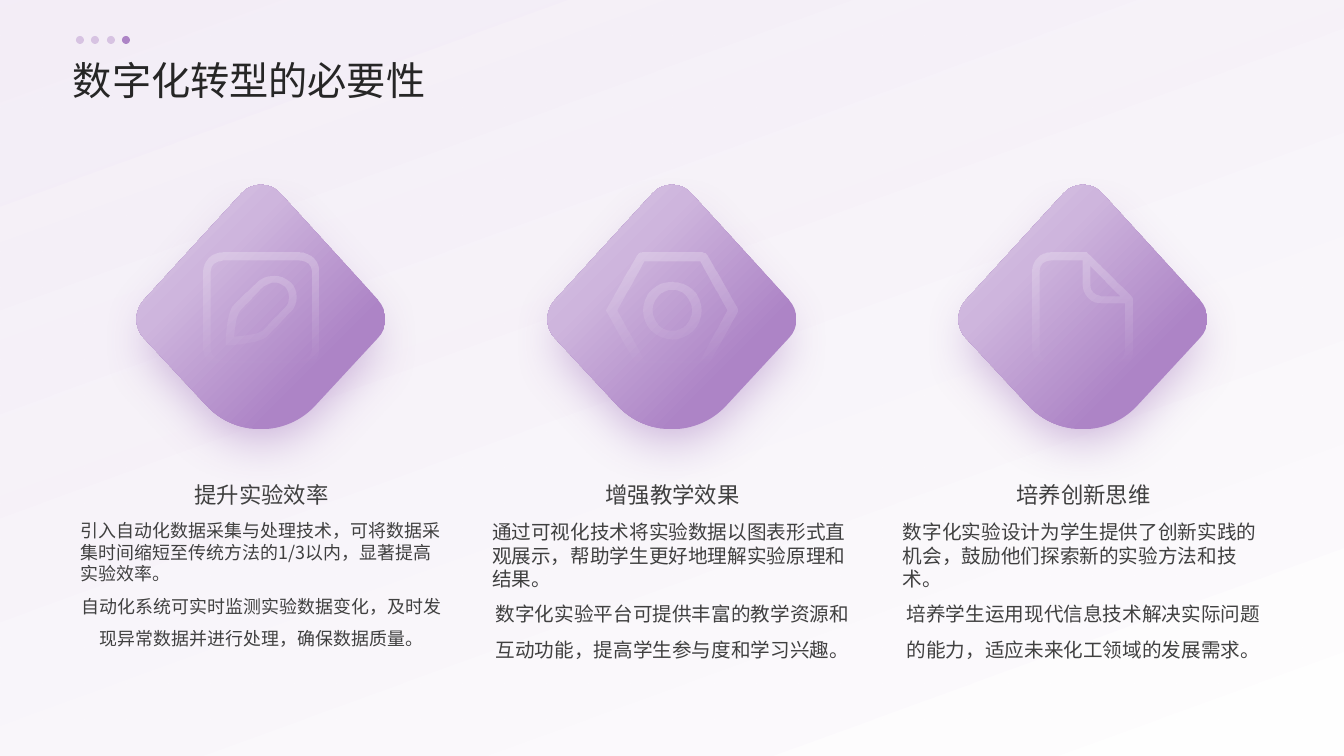
from lxml import etree
from pptx import Presentation
from pptx.dml.color import RGBColor
from pptx.enum.shapes import MSO_SHAPE
from pptx.enum.text import MSO_ANCHOR, PP_ALIGN
from pptx.oxml import parse_xml
from pptx.oxml.ns import nsdecls, qn
from pptx.util import Emu, Pt

PX = 914400 / 100.8
FONT = "Noto Sans CJK SC"
PURPLE = "AD84C6"
GREY = "404040"

# Outlines: x from the column centre, y from the slide top, in px
DIAMOND = """M -117 300 C -19 193 -19 193 -19 193 C -9 182 9 182 19 193
C 117 300 117 300 117 300 C 127 311 127 328 117 338 C 54 406 54 406 54 406
C 25 437 -25 437 -54 406 C -117 338 -117 338 -117 338
C -127 328 -127 311 -117 300 Z"""
PENCIL = """M 13 283 C 9 283 5 285 2 287 L -20 310 C -24 313 -26 326 -27 337
C -14 336 -2 334 1 331 L 23 308 C 29 302 29 293 23 287 C 20 285 17 283 13 283 Z
M 13 276 C 18 276 24 278 28 282 C 37 290 37 305 28 313 L 6 336
C -3 345 -35 345 -35 345 C -35 345 -35 313 -26 304 L -3 282
C 1 278 7 276 13 276 Z
M -38 261 C -45 261 -50 266 -50 272 L -50 349 C -50 355 -45 360 -38 360
L 38 360 C 45 360 50 355 50 349 L 50 272 C 50 266 45 261 38 261 Z
M -38 253 L 38 253 C 49 253 57 262 57 272 L 57 349 C 57 359 49 368 38 368
L -38 368 C -49 368 -57 359 -57 349 L -57 272 C -57 262 -49 253 -38 253 Z"""
NUT = """M 0 290 C -11 290 -20 299 -20 310 C -20 321 -11 330 0 330
C 11 330 20 321 20 310 C 20 299 11 290 0 290 Z
M 0 282 C 16 282 29 294 29 310 C 29 326 16 339 0 339
C -16 339 -29 326 -29 310 C -29 294 -16 282 0 282 Z
M -28 262 L -55 310 L -28 359 L 28 359 L 55 310 L 28 262 Z
M -30 253 L 30 253 C 32 253 34 254 35 256 L 65 308 C 66 309 66 311 65 312
L 35 365 C 34 366 32 367 30 367 L -30 367 C -32 367 -34 366 -35 365
L -65 312 C -66 311 -66 309 -65 308 L -35 256 C -34 254 -32 253 -30 253 Z"""
DOCUMENT = """M 50 299 L 49 297 L 6 255 L 4 253 L -32 253 C -42 253 -50 261 -50 271
L -50 349 C -50 359 -42 367 -32 367 L 32 367 C 42 367 50 359 50 349 Z
M 7 285 L 7 266 L 37 296 L 18 296 C 12 296 7 291 7 285 Z
M 42 349 C 42 355 37 360 32 360 L -32 360 C -38 360 -43 355 -43 349
L -43 271 C -43 266 -38 261 -32 261 L 0 261 L 0 285 C 0 295 8 303 18 303
L 42 303 Z"""

COLUMNS = [
    (PENCIL, "提升实验效率", 12.8,
     "引入自动化数据采集与处理技术，可将数据采集时间缩短至传统方法的1/3以内，显著提高实验效率。",
     "自动化系统可实时监测实验数据变化，及时发现异常数据并进行处理，确保数据质量。"),
    (NUT, "增强教学效果", 14,
     "通过可视化技术将实验数据以图表形式直观展示，帮助学生更好地理解实验原理和结果。",
     "数字化实验平台可提供丰富的教学资源和互动功能，提高学生参与度和学习兴趣。"),
    (DOCUMENT, "培养创新思维", 14,
     "数字化实验设计为学生提供了创新实践的机会，鼓励他们探索新的实验方法和技术。",
     "培养学生运用现代信息技术解决实际问题的能力，适应未来化工领域的发展需求。"),
]


def px(n):
    return Emu(round(n * PX))


def rgb(color):
    return RGBColor.from_string(color)


def apply(target, formats):
    for name, value in formats.items():
        setattr(target, name, value)


def plain(sp):
    sp.shadow.inherit = False
    sp.line.fill.background()
    return sp


def gradient(sp, stops, direction):
    """Fill with (position, colour, opacity) stops in percent."""
    gs = "".join(
        f'<a:gs pos="{pos * 1000}"><a:srgbClr val="{color}">'
        f'<a:alpha val="{alpha * 1000}"/></a:srgbClr></a:gs>'
        for pos, color, alpha in stops)
    sp.fill.background()
    pr = sp._element.spPr
    pr.replace(pr.find(qn("a:noFill")), parse_xml(
        f'<a:gradFill {nsdecls("a")} rotWithShape="1"><a:gsLst>{gs}</a:gsLst>'
        f'{direction}</a:gradFill>'))


def linear(angle):
    return f'<a:lin ang="{angle * 60000}" scaled="0"/>'


def drop_shadow(sp, color, alpha, blur, dist, size):
    sp._element.spPr.find(qn("a:effectLst")).append(parse_xml(
        f'<a:outerShdw {nsdecls("a")} blurRad="{Pt(blur)}" dist="{Pt(dist)}" '
        f'dir="5400000" sx="{size * 1000}" sy="{size * 1000}" algn="t" '
        f'rotWithShape="0"><a:srgbClr val="{color}">'
        f'<a:alpha val="{alpha * 1000}"/></a:srgbClr></a:outerShdw>'))


def commands(outline):
    """List (letter, points) for each M, L, C and Z."""
    result = []
    tokens = iter(outline.split())
    for cmd in tokens:
        count = {"M": 1, "L": 1, "C": 3, "Z": 0}[cmd]
        result.append((cmd, [(int(next(tokens)), int(next(tokens)))
                             for _ in range(count)]))
    return result


def outline_shape(s, outline, center):
    """Draw the outline through all its points, then bend the C parts."""
    steps = commands(outline)
    builder = s.shapes.build_freeform(*steps[0][1][0], scale=PX)
    for i, (cmd, pts) in enumerate(steps):
        if cmd == "M" and i:
            builder.move_to(*pts[0])
        elif cmd in "LC":
            builder.add_line_segments(pts, close=steps[i + 1][0] == "Z")
    sp = plain(builder.convert_to_shape(px(center), 0))
    segments = iter(list(sp._element.spPr.find(".//" + qn("a:path"))))
    for cmd, _ in steps:
        segment = next(segments)
        if cmd == "C":
            curve = etree.Element(qn("a:cubicBezTo"))
            segment.addprevious(curve)
            for part in (segment, next(segments), next(segments)):
                curve.append(part[0])
                part.getparent().remove(part)
    return sp


def text(s, box, paras, size, color=GREY, anchor=MSO_ANCHOR.TOP):
    """Add a text box; paras holds (text, alignment, line spacing)."""
    tf = s.shapes.add_textbox(*map(px, box)).text_frame
    apply(tf, dict(word_wrap=True, vertical_anchor=anchor, margin_left=0,
                   margin_top=0, margin_right=0, margin_bottom=0))
    for i, (words, align, spacing) in enumerate(paras):
        p = tf.add_paragraph() if i else tf.paragraphs[0]
        apply(p, dict(alignment=align, line_spacing=spacing))
        p._p.get_or_add_pPr().set("hangingPunct", "0")
        r = p.add_run()
        r.text = words
        apply(r.font, dict(size=Pt(size), name=FONT))
        r.font.color.rgb = rgb(color)
        etree.SubElement(r._r.get_or_add_rPr(), qn("a:ea"), typeface=FONT)


def dot(s, x, alpha):
    sp = plain(s.shapes.add_shape(MSO_SHAPE.OVAL, px(x), px(36), px(8), px(8)))
    sp.fill.solid()
    sp.fill.fore_color.rgb = rgb(PURPLE)
    clr = sp._element.spPr.find(".//" + qn("a:srgbClr"))
    etree.SubElement(clr, qn("a:alpha"), val=str(alpha * 1000))


def column(s, center, icon, heading, size, intro, detail):
    sp = outline_shape(s, DIAMOND, center)
    gradient(sp, [(0, "DECEE8", 100), (31, "CEB5DD", 100), (73, PURPLE, 100)],
             '<a:path path="circle"><a:fillToRect r="100000" b="100000"/></a:path>')
    drop_shadow(sp, "874EA9", 40, 35, 25, 90)
    gradient(outline_shape(s, icon, center),
             [(0, "FFFFFF", 25), (100, "FFFFFF", 0)], linear(90))
    left = center - 180
    text(s, (left, 435, 361, 73), [(heading, PP_ALIGN.CENTER, 1.1)], 16,
         anchor=MSO_ANCHOR.BOTTOM)
    text(s, (left, 520, 361, 162),
         [(intro, PP_ALIGN.LEFT, 1.0), (detail, PP_ALIGN.CENTER, 1.5)], size)


def main():
    prs = Presentation()
    apply(prs, dict(slide_width=px(1344), slide_height=px(756)))
    s = prs.slides.add_slide(prs.slide_layouts[6])
    backdrop = plain(s.shapes.add_shape(
        MSO_SHAPE.RECTANGLE, 0, 0, prs.slide_width, prs.slide_height))
    gradient(backdrop, [(0, "EFE6F4", 67), (100, "FFFFFF", 92)], linear(70))
    for i, content in enumerate(COLUMNS):
        column(s, 261 + 411 * i, *content)
    text(s, (73, 52, 1198, 51), [("数字化转型的必要性", PP_ALIGN.LEFT, 1.1)], 28,
         "262626", MSO_ANCHOR.MIDDLE)
    for i, alpha in enumerate((40, 40, 40, 100)):
        dot(s, 76 + round(15.4 * i), alpha)
    prs.save("out.pptx")


if __name__ == "__main__":
    main()
